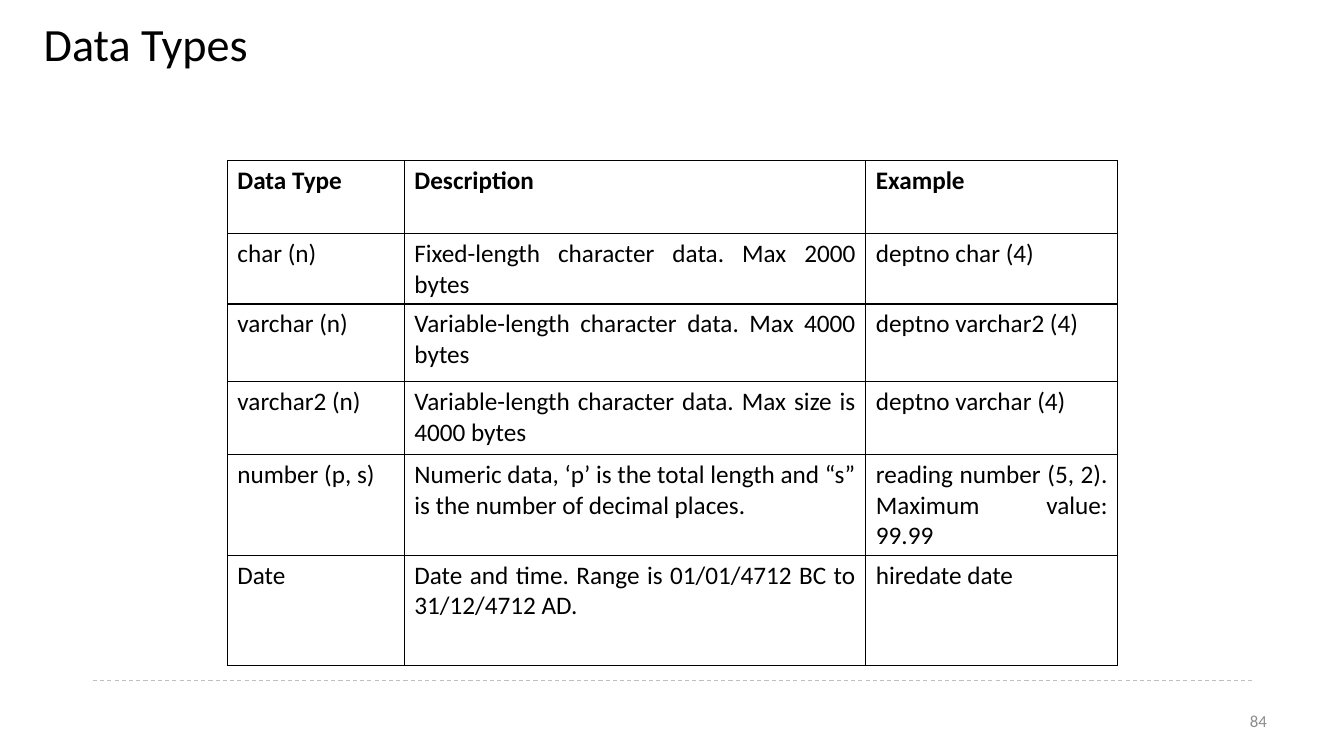
from lxml import etree
from pptx import Presentation
from pptx.dml.color import RGBColor
from pptx.enum.dml import MSO_LINE
from pptx.enum.shapes import MSO_CONNECTOR
from pptx.enum.text import MSO_ANCHOR, PP_ALIGN
from pptx.oxml.ns import qn
from pptx.util import Cm, Pt

TITLE = "Data Types"
PAGE = "84"
ROWS = [
    ("Data Type", "Description", "Example"),
    ("char (n)", "Fixed-length character data. Max 2000 bytes", "deptno char (4)"),
    ("varchar (n)", "Variable-length character data. Max 4000 bytes",
     "deptno varchar2 (4)"),
    ("varchar2 (n)", "Variable-length character data. Max size is 4000 bytes",
     "deptno varchar (4)"),
    ("number (p, s)",
     "Numeric data, ‘p’ is the total length and “s” is the number of decimal places.",
     "reading number (5, 2). Maximum value: 99.99"),
    ("Date", "Date and time. Range is 01/01/4712 BC to 31/12/4712 AD.",
     "hiredate date"),
]
WIDTHS = [4.46, 11.63, 6.35]
HEIGHTS = [1.83, 1.68, 1.96, 1.83, 2.39, 2.77]

FONT = "Calibri"
BLACK = RGBColor(0, 0, 0)
GREY = RGBColor(0x8C, 0x8C, 0x8C)
SILVER = RGBColor(0xBF, 0xBF, 0xBF)
LEFT, RIGHT, JUST = PP_ALIGN.LEFT, PP_ALIGN.RIGHT, PP_ALIGN.JUSTIFY
MIDDLE = MSO_ANCHOR.MIDDLE
STRAIGHT = MSO_CONNECTOR.STRAIGHT
DASH = MSO_LINE.DASH


def write(frame, text, size=18, color=BLACK, bold=False, align=LEFT, space=1.0):
    frame.word_wrap = True
    para = frame.paragraphs[0]
    para.alignment = align
    para.line_spacing = space
    run = para.add_run()
    run.text = text
    font = run.font
    font.name, font.size, font.bold = FONT, Pt(size), bold
    font.color.rgb = color


def add_text(slide, text, left, top, width, height, **style):
    box = slide.shapes.add_textbox(Cm(left), Cm(top), Cm(width), Cm(height))
    box.text_frame.vertical_anchor = MIDDLE
    write(box.text_frame, text, **style)


def add_rule(slide, left, right, top):
    rule = slide.shapes.add_connector(STRAIGHT, Cm(left), Cm(top), Cm(right), Cm(top))
    rule.line.color.rgb = SILVER
    rule.line.width = Pt(0.75)
    rule.line.dash_style = DASH
    etree.SubElement(rule._element.spPr, qn("a:effectLst"))


def set_cell(cell, text, bold):
    write(cell.text_frame, text, bold=bold, align=JUST)
    props = cell._tc.get_or_add_tcPr()
    for side in ("lnL", "lnR", "lnT", "lnB"):
        edge = etree.SubElement(props, qn(f"a:{side}"), w=str(Pt(1)))
        fill = etree.SubElement(edge, qn("a:solidFill"))
        etree.SubElement(fill, qn("a:srgbClr"), val=str(BLACK))
    cell.fill.background()


def add_grid(slide, left, top):
    frame = slide.shapes.add_table(len(ROWS), len(WIDTHS), Cm(left), Cm(top),
                                   Cm(sum(WIDTHS)), Cm(sum(HEIGHTS)))
    table = frame.table
    table.horz_banding = False
    for col, width in zip(table.columns, WIDTHS):
        col.width = Cm(width)
    for i, (row, height) in enumerate(zip(table.rows, HEIGHTS)):
        row.height = Cm(height)
        for cell, text in zip(row.cells, ROWS[i]):
            set_cell(cell, text, bold=i == 0)


def main():
    deck = Presentation()
    deck.slide_width, deck.slide_height = Cm(33.87), Cm(19.05)
    slide = deck.slides.add_slide(deck.slide_layouts[6])
    add_rule(slide, 2.34, 31.55, 17.15)
    add_text(slide, TITLE, 0.85, 0, 32.17, 2.33, size=33, space=0.9)
    add_grid(slide, 5.73, 4.05)
    add_text(slide, PAGE, 29.92, 17.66, 2.26, 1.01, size=12, color=GREY, align=RIGHT)
    deck.save("out.pptx")


if __name__ == "__main__":
    main()
